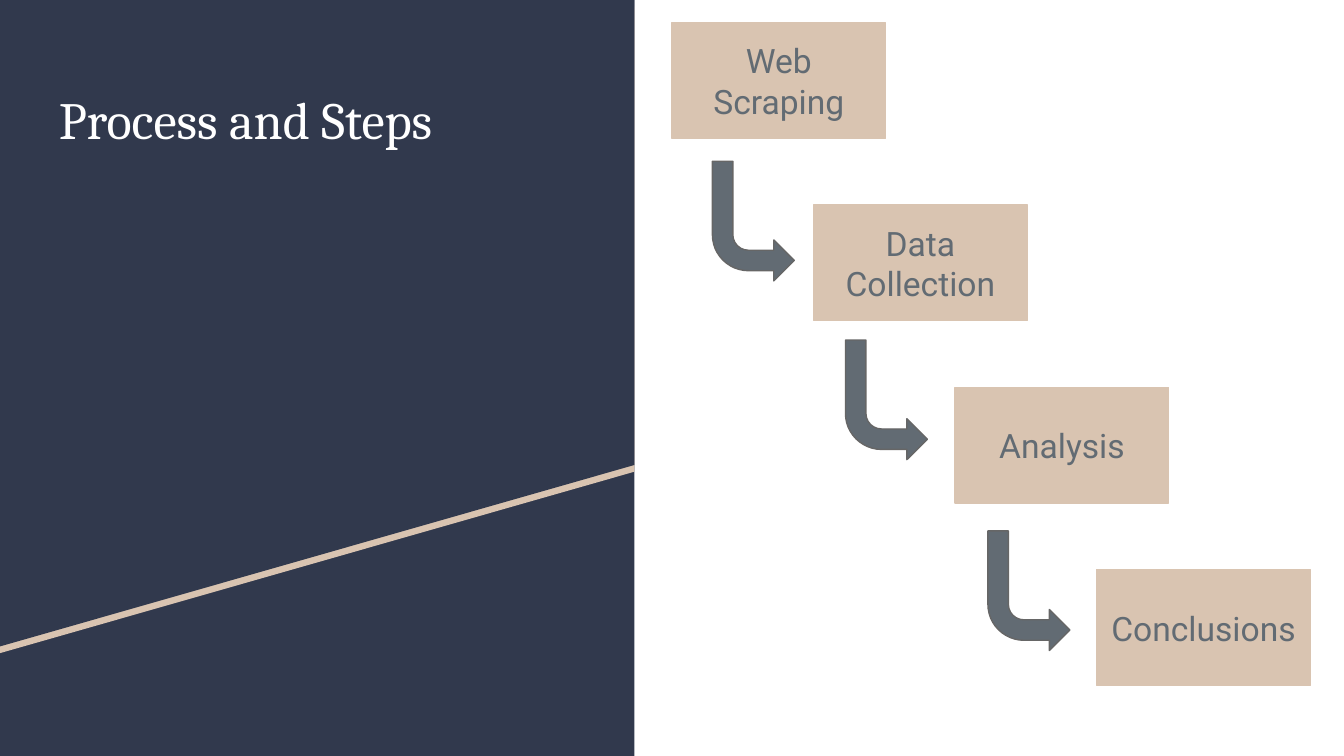
from pptx import Presentation
from pptx.dml.color import RGBColor
from pptx.enum import shapes, text
from pptx.util import Inches, Pt

COLORS = {
    "navy": "31394D",
    "sand": "D9C4B1",
    "slate": "626B73",
    "outline": "666666",
    "white": "FFFFFF",
}
PAGE_WIDTH = 10
PAGE_HEIGHT = PAGE_WIDTH * 9 / 16
PANEL_WIDTH = 4.72
STEPS = ["Web Scraping", "Data Collection", "Analysis", "Conclusions"]
FIRST_STEP, LAST_STEP = (5, 0.17), (8.16, 4.24)
ARROW_CORNERS = [(5.3, 1.2), (6.29, 2.53), (7.35, 3.95)]


def color(name):
    return RGBColor.from_string(COLORS[name])


def paint(shape, fill, line=None):
    shape.shadow.inherit = False
    shape.fill.solid()
    shape.fill.fore_color.rgb = color(fill)
    if line:
        shape.line.color.rgb = color(line)
        shape.line.width = Pt(0.75)
    else:
        shape.line.fill.background()


def write(shape, words, size, font, ink, align, anchor):
    frame = shape.text_frame
    frame.text = words
    frame.word_wrap = True
    frame.vertical_anchor = anchor
    frame.margin_left = frame.margin_right = Inches(0.1)
    frame.margin_top = frame.margin_bottom = Inches(0.1)
    para = frame.paragraphs[0]
    para.alignment = align
    span = para.runs[0]
    span.font.size = Pt(size)
    span.font.name = font
    span.font.color.rgb = color(ink)


def add_shape(page, preset, left, top, width, height, fill, line=None):
    shape = page.shapes.add_shape(
        preset, Inches(left), Inches(top), Inches(width), Inches(height))
    paint(shape, fill, line)
    return shape


def add_slanted_panel(page, top, fill):
    corners = [(PANEL_WIDTH, top), (PANEL_WIDTH, top + 3.46), (0, top + 4.81)]
    builder = page.shapes.build_freeform(Inches(0), Inches(top))
    builder.add_line_segments([(Inches(x), Inches(y)) for x, y in corners])
    paint(builder.convert_to_shape(), fill)


def add_title(page, words):
    box = page.shapes.add_textbox(
        Inches(0.34), Inches(0.55), Inches(4.05), Inches(2.74))
    write(box, words, 28, "Cambria", "white",
          text.PP_ALIGN.LEFT, text.MSO_ANCHOR.TOP)


def add_step(page, index, words):
    share = index / (len(STEPS) - 1)
    left, top = (first + (last - first) * share
                 for first, last in zip(FIRST_STEP, LAST_STEP))
    box = add_shape(page, shapes.MSO_SHAPE.RECTANGLE,
                    left, top, 1.59, 0.86, "sand", "sand")
    write(box, words, 18, "Roboto", "slate",
          text.PP_ALIGN.CENTER, text.MSO_ANCHOR.MIDDLE)


def add_step_arrow(page, left, top):
    arrow = add_shape(page, shapes.MSO_SHAPE.BENT_ARROW,
                      left, top, 0.61, 0.89, "slate", "outline")
    for index, value in enumerate([0.25, 0.25, 0.25, 0.44]):
        arrow.adjustments[index] = value
    # Down, then right
    arrow.rotation = 180
    arrow._element.spPr.xfrm.set("flipH", "1")


def main():
    deck = Presentation()
    deck.slide_width = Inches(PAGE_WIDTH)
    deck.slide_height = Inches(PAGE_HEIGHT)
    page = deck.slides.add_slide(deck.slide_layouts[6])

    # Left panel with a slanted stripe
    add_shape(page, shapes.MSO_SHAPE.RECTANGLE,
              0, 0, PANEL_WIDTH, PAGE_HEIGHT, "navy")
    add_slanted_panel(page, 0.05, "sand")
    add_slanted_panel(page, 0, "navy")
    add_title(page, "Process and Steps")

    # Staircase of steps
    for index, words in enumerate(STEPS):
        add_step(page, index, words)
    for left, top in ARROW_CORNERS:
        add_step_arrow(page, left, top)

    deck.save("out.pptx")


if __name__ == "__main__":
    main()
